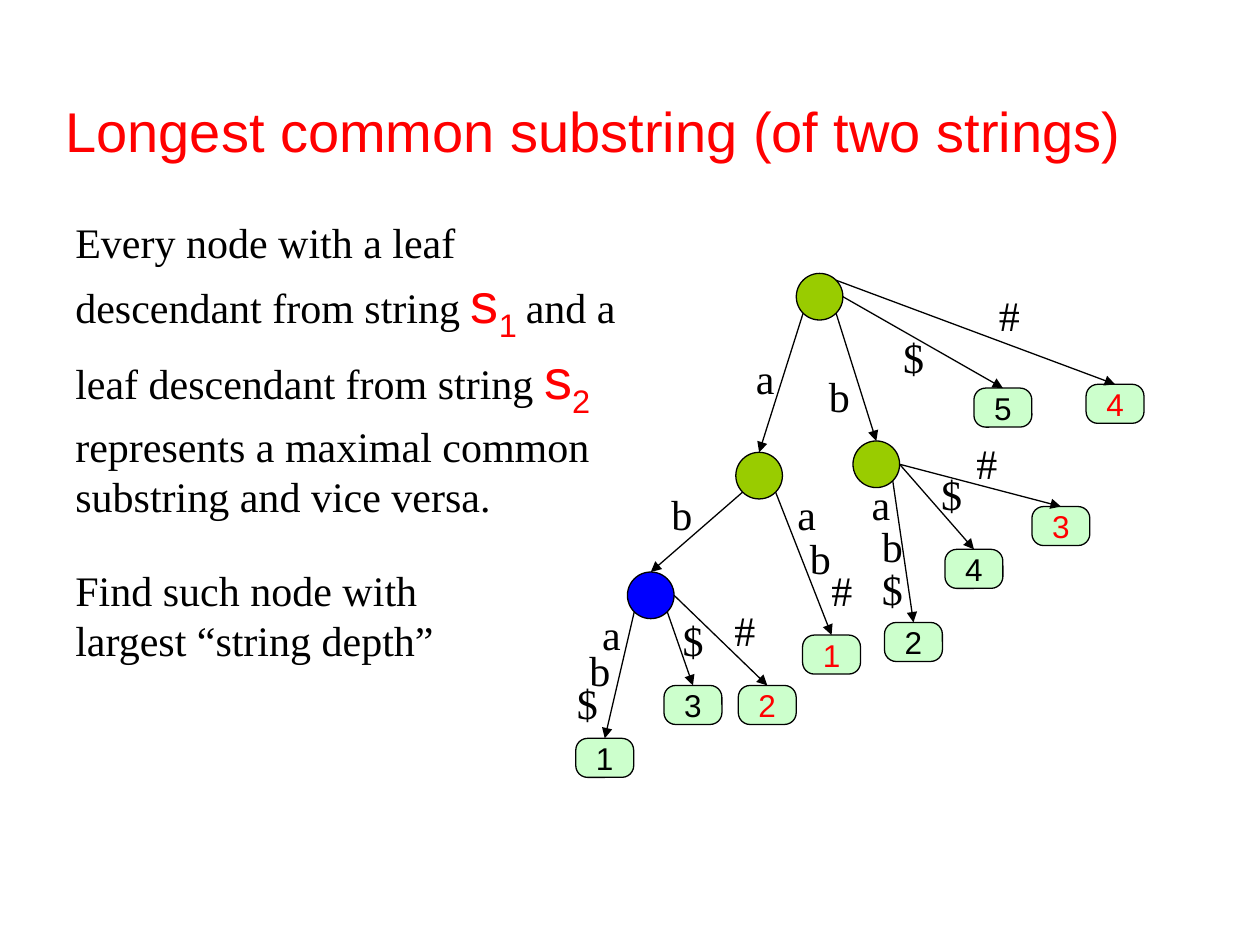
from math import cos, radians, sin
from lxml import etree
from pptx import Presentation
from pptx.dml.color import RGBColor
from pptx.enum.shapes import MSO_CONNECTOR, MSO_SHAPE
from pptx.enum.text import MSO_ANCHOR, PP_ALIGN
from pptx.oxml.ns import qn
from pptx.util import Inches, Pt

OVAL, ROUND = MSO_SHAPE.OVAL, MSO_SHAPE.ROUNDED_RECTANGLE
LINE = MSO_CONNECTOR.STRAIGHT
CENTER, MIDDLE = PP_ALIGN.CENTER, MSO_ANCHOR.MIDDLE
BLACK, RED, GREEN, BLUE, MINT = "000000", "FF0000", "99CC00", "0000FF", "CCFFCC"
color = RGBColor.from_string

deck = Presentation()
deck.slide_width, deck.slide_height = Inches(10), Inches(7.5)
slide = deck.slides.add_slide(deck.slide_layouts[6])
shapes = slide.shapes
col, row = deck.slide_width / 100, deck.slide_height / 75

serif = {"name": "Times New Roman", "size": Pt(24)}
sans = {"name": "Arial", "size": Pt(32)}
small = {"name": "Arial", "size": Pt(18)}


def write(para, text, style, tint=BLACK, sub=False):
    run = para.add_run()
    run.text = text
    for key, value in style.items():
        setattr(run.font, key, value)
    run.font.color.rgb = color(tint)
    if sub:
        run.font._element.set("baseline", "-25000")


def place(x, y, wide, high):
    return int(x * col), int(y * row), int(wide * col), int(high * row)


blocks = [
    ((4.2, 7.2, 92.5, 6.4),
     [[("Longest common substring (of two strings)", sans, RED)]]),
    ((5, 16.7, 46.7, 25.2),
     [[("Every node with a leaf descendant from string ", serif),
       ("s", sans, RED), ("1 ", sans, RED, True),
       ("and a leaf descendant from string ", serif),
       ("s", sans, RED), ("2", sans, RED, True)],
      [("represents a maximal common substring and vice versa.", serif)]]),
    ((5, 44.3, 36.7, 9),
     [[("Find such node with largest “string depth”", serif)]]),
]
labels = [
    ("a", 59, 27.5), ("b", 64.8, 28.9), ("$", 70.7, 25.8), ("#", 78.3, 22.5),
    ("b", 52.3, 38.3), ("a", 62.3, 38.3), ("b", 63.3, 41.8), ("#", 65, 44.3),
    ("a", 68.2, 37.5), ("b", 69, 40.8), ("$", 69, 44.2),
    ("$", 73.7, 36.7), ("#", 76.5, 34.2),
    ("a", 46.8, 47.8), ("b", 45.8, 50.7), ("$", 44.8, 53.3),
    ("$", 53.2, 48.3), ("#", 57.3, 47.5),
]
blocks += [((x, y, 4.2, 5), [[(text, serif)]]) for text, x, y in labels]

for area, paras in blocks:
    frame = shapes.add_textbox(*place(*area)).text_frame
    frame.word_wrap = True
    for i, runs in enumerate(paras):
        para = frame.add_paragraph() if i else frame.paragraphs[0]
        for run in runs:
            write(para, *run)

inner = [("root", 63.2, 21.7, GREEN), ("left", 58.4, 35.9, GREEN),
         ("right", 67.7, 35, GREEN), ("deep", 49.8, 45.4, BLUE)]
leaves = [
    ("1", 45.7, 58.6, BLACK), ("2", 70.2, 49.4, BLACK), ("3", 52.7, 54.4, BLACK),
    ("4", 75, 43.6, BLACK), ("5", 77.3, 30.8, BLACK),
    ("1", 63.7, 50.4, RED), ("2", 58.6, 54.4, RED),
    ("3", 81.9, 40.2, RED), ("4", 86.2, 30.5, RED),
]
nodes = {}
for name, x, y, fill in inner:
    nodes[name] = shapes.add_shape(OVAL, *place(x, y, 3.7, 3.7)), fill
for text, x, y, tint in leaves:
    leaf = shapes.add_shape(ROUND, *place(x, y, 4.6, 3.1))
    leaf.adjustments[0] = 0.3
    frame = leaf.text_frame
    frame.word_wrap = False
    frame.vertical_anchor = MIDDLE
    frame.paragraphs[0].alignment = CENTER
    write(frame.paragraphs[0], text, small, tint)
    nodes[text, tint] = leaf, MINT
for node, fill in nodes.values():
    node.shadow.inherit = False
    node.fill.solid()
    node.fill.fore_color.rgb = color(fill)
    node.line.color.rgb = color(BLACK)
    node.line.width = Pt(0.75)

edges = [
    ("root", 225, "left"), ("root", 315, "right"),
    ("root", 0, ("5", BLACK)), ("root", 45, ("4", RED)),
    ("left", 225, "deep"), ("left", 315, ("1", RED)),
    ("right", 315, ("2", BLACK)), ("right", 0, ("4", BLACK)),
    ("right", 0, ("3", RED)),
    ("deep", 225, ("1", BLACK)), ("deep", 315, ("3", BLACK)),
    ("deep", 0, ("2", RED)),
]
for start, angle, end in edges:
    node, goal = nodes[start][0], nodes[end][0]
    turn, half = radians(angle), node.width / 2
    x = int(node.left + half * (1 + cos(turn)))
    y = int(node.top + half * (1 - sin(turn)))
    edge = shapes.add_connector(LINE, x, y, goal.left, goal.top)
    edge.end_connect(goal, 0)
    edge.line.color.rgb = color(BLACK)
    edge.line.width = Pt(0.75)
    etree.SubElement(edge.line._get_or_add_ln(), qn("a:tailEnd"), type="triangle")
    etree.SubElement(edge._element.spPr, qn("a:effectLst"))

deck.save("out.pptx")
